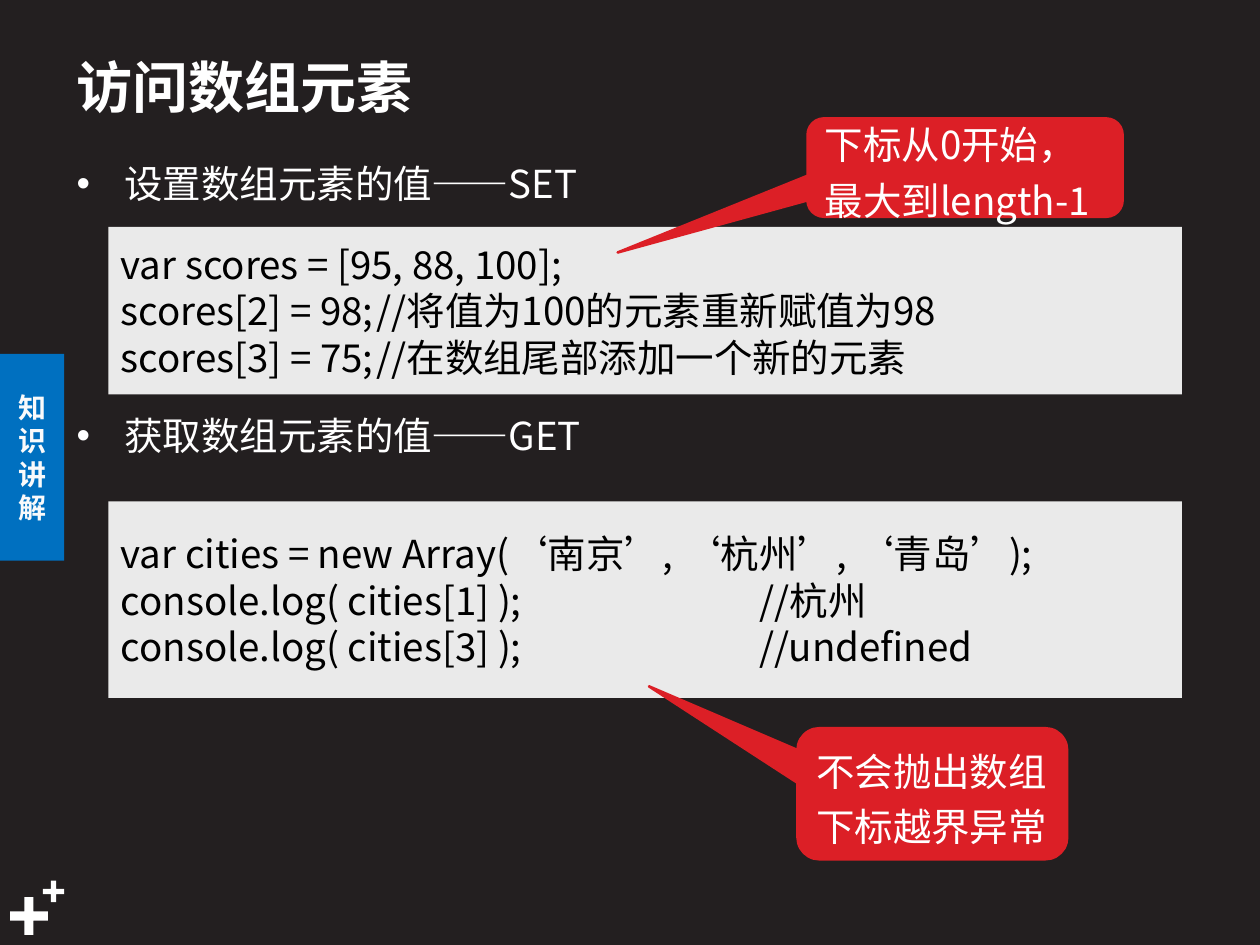
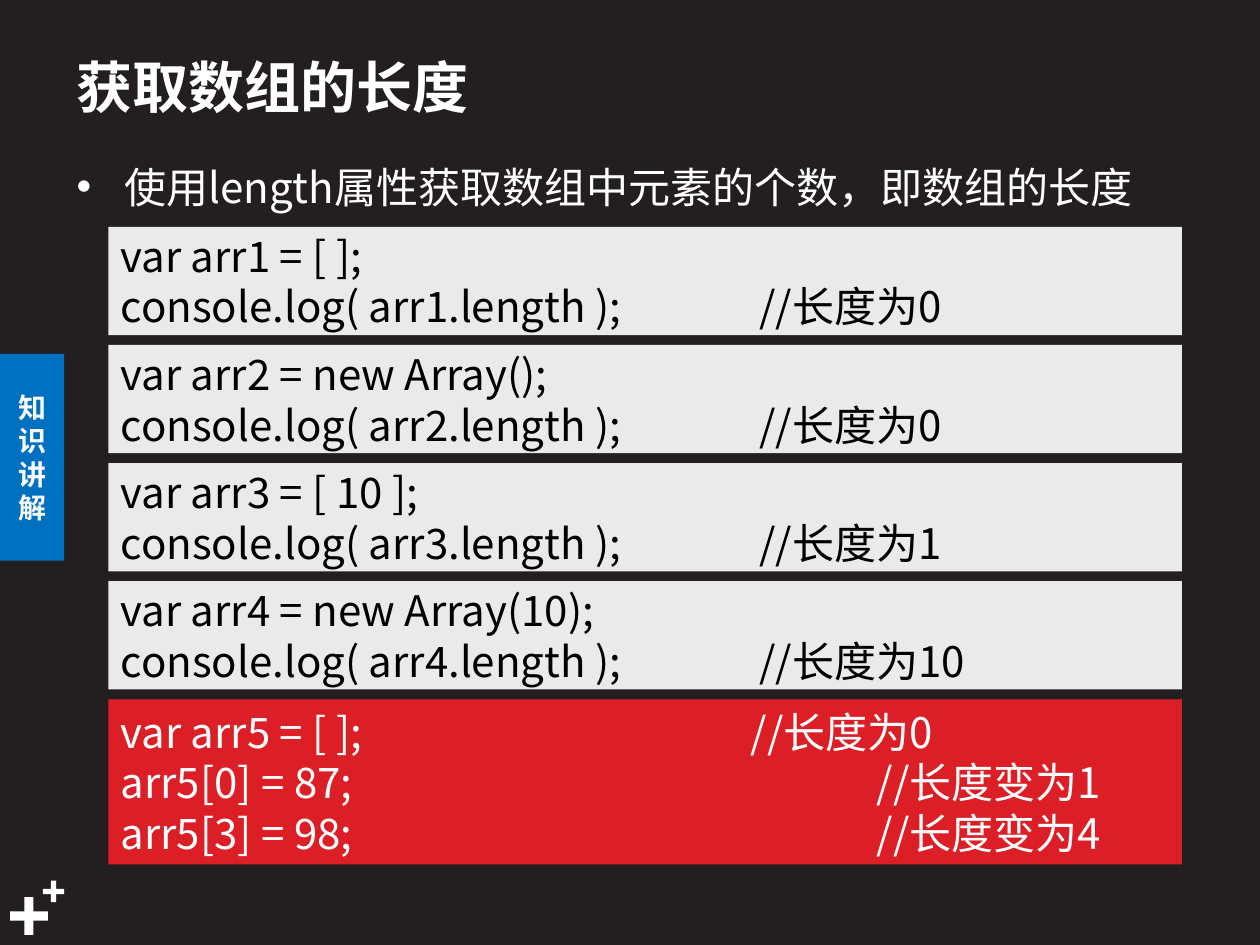
"""Build two slides on reading, writing and measuring arrays."""
import pptx
import pptx.dml.color
import pptx.enum.lang
import pptx.enum.shapes
import pptx.enum.text
import pptx.oxml.ns
import pptx.util
from lxml import etree

Inches = pptx.util.Inches
Pt = pptx.util.Pt
RGBColor = pptx.dml.color.RGBColor
Shape = pptx.enum.shapes.MSO_SHAPE
Anchor = pptx.enum.text.MSO_ANCHOR
Align = pptx.enum.text.PP_ALIGN
qn = pptx.oxml.ns.qn

DARK = RGBColor(0x23, 0x1F, 0x20)
WHITE = RGBColor(0xFF, 0xFF, 0xFF)
BLACK = RGBColor(0x00, 0x00, 0x00)
BLUE = RGBColor(0x00, 0x70, 0xC0)
PALE = RGBColor(0xF9, 0xFA, 0xFB)
GREY = RGBColor(0xEA, 0xEA, 0xEA)
RED = RGBColor(0xDC, 0x1F, 0x26)

FONT = "Noto Sans CJK SC"
LEFT = 0.51
PANEL_LEFT, PANEL_TOP, PANEL_WIDTH = 0.86, 1.8, 8.52
COMMENT_STOP = 5.07


def apply(target, formats):
    """Set every attribute of the target that the formats name."""
    for name, value in formats.items():
        setattr(target, name, value)


def add_span(para, text, size, color, bold=False):
    """Append a run in the deck's font."""
    span = para.add_run()
    span.text = text
    apply(span.font, {
        "name": FONT, "size": Pt(size), "bold": bold,
        "language_id": pptx.enum.lang.MSO_LANGUAGE_ID.SIMPLIFIED_CHINESE,
    })
    span.font.color.rgb = color
    east_asian = etree.SubElement(span.font._element, qn("a:ea"))
    east_asian.set("typeface", FONT)


def add_text_box(page, left, top, width, height, anchor=Anchor.TOP):
    """Add a wrapping text box and return its first paragraph."""
    frame = page.shapes.add_textbox(
        Inches(left), Inches(top), Inches(width), Inches(height)).text_frame
    apply(frame, {"word_wrap": True, "vertical_anchor": anchor})
    return frame.paragraphs[0]


def add_block(page, kind, area, fill, adjustments=()):
    """Add a flat filled shape whose text is left-aligned and centred in height."""
    block = page.shapes.add_shape(kind, *(Inches(length) for length in area))
    block.shadow.inherit = False
    block.fill.solid()
    block.fill.fore_color.rgb = fill
    block.line.fill.background()
    for index, value in enumerate(adjustments):
        block.adjustments[index] = value
    apply(block.text_frame, {"word_wrap": True, "vertical_anchor": Anchor.MIDDLE})
    block.text_frame.paragraphs[0].alignment = Align.LEFT
    return block


def add_page(deck, title):
    """Add a dark page with plus marks, section tab and title."""
    page = deck.slides.add_slide(deck.slide_layouts[6])
    page.background.fill.solid()
    page.background.fill.fore_color.rgb = DARK
    for left, top, size in ((0.08, 7.12, 0.3), (0.34, 6.99, 0.17)):
        add_block(page, Shape.CROSS, (left, top, size, size), WHITE, [0.378])
    tab = add_block(page, Shape.RECTANGLE, (0, 2.81, LEFT, 1.64), BLUE)
    para = tab.text_frame.paragraphs[0]
    para.alignment = Align.CENTER
    add_span(para, "知识讲解", 16, PALE, bold=True)
    para = add_text_box(page, LEFT, 0.29, 7.4, 0.78, Anchor.MIDDLE)
    add_span(para, title, 32, WHITE, bold=True)
    return page


def add_bullet(page, top, text, size):
    """Add one bulleted line with a hanging indent."""
    para = add_text_box(page, LEFT, top, 8.82, 0.59)
    apply(para, {"line_spacing": 1.2, "space_before": Pt(size * 0.2)})
    properties = para._p.get_or_add_pPr()
    properties.set("marL", str(Inches(0.38)))
    properties.set("indent", str(Inches(-0.38)))
    etree.SubElement(properties, qn("a:buFont")).set("typeface", "Arial")
    etree.SubElement(properties, qn("a:buChar")).set("char", "•")
    add_span(para, text, size, WHITE)


def add_code(page, top, height, lines, size, fill=GREY, color=BLACK):
    """Add a code panel; a line is its code, then a comment and its tab stop."""
    area = (PANEL_LEFT, top, PANEL_WIDTH, height)
    frame = add_block(page, Shape.RECTANGLE, area, fill).text_frame
    for index, (code, *comment) in enumerate(lines):
        para = frame.add_paragraph() if index else frame.paragraphs[0]
        para.alignment = Align.LEFT
        if comment:
            note, stop = comment
            code = f"{code}\t{note}"
            stops = etree.SubElement(para._p.get_or_add_pPr(), qn("a:tabLst"))
            etree.SubElement(stops, qn("a:tab"), pos=str(Inches(stop)), algn="l")
        add_span(para, code, size, color)


def add_callout(page, area, pointer, text):
    """Add a red rounded callout with its pointer at the given offset."""
    callout = add_block(page, Shape.ROUNDED_RECTANGULAR_CALLOUT, area, RED,
                        [*pointer, 0.167])
    callout.line.color.rgb = RED
    callout.line.width = Pt(1.5)
    para = callout.text_frame.paragraphs[0]
    apply(para, {"line_spacing": 1.2, "space_before": Pt(4.4)})
    add_span(para, text, 22, WHITE)


def build_access_page(deck):
    """Show how array elements are set and read."""
    page = add_page(deck, "访问数组元素")
    add_bullet(page, 1.15, "设置数组元素的值——SET", 22)
    add_bullet(page, 3.15, "获取数组元素的值——GET", 22)
    add_code(page, PANEL_TOP, 1.33, [
        ("var scores = [95, 88, 100];",),
        ("scores[2] = 98;", "//将值为100的元素重新赋值为98", 2.03),
        ("scores[3] = 75;", "//在数组尾部添加一个新的元素", 2.03),
    ], 22)
    add_code(page, 3.98, 1.56, [
        ("var cities = new Array(‘南京’, ‘杭州’, ‘青岛’);",),
        ("console.log( cities[1] );", "//杭州", COMMENT_STOP),
        ("console.log( cities[3] );", "//undefined", COMMENT_STOP),
    ], 22)
    add_callout(page, (6.41, 0.94, 2.5, 0.78), (-1.103, 0.864),
                "下标从0开始，最大到length-1")
    add_callout(page, (6.33, 5.78, 2.14, 1.04), (-1.051, -0.82),
                "不会抛出数组下标越界异常")


def build_length_page(deck):
    """Show the length of arrays made in different ways."""
    page = add_page(deck, "获取数组的长度")
    add_bullet(page, 1.15, "使用length属性获取数组中元素的个数，即数组的长度", 24)
    arrays = [("[ ]", 0), ("new Array()", 0), ("[ 10 ]", 1), ("new Array(10)", 10)]
    growing_top = 5.55
    pitch = (growing_top - PANEL_TOP) / len(arrays)
    for index, (value, length) in enumerate(arrays):
        name = f"arr{index + 1}"
        add_code(page, PANEL_TOP + index * pitch, 0.86, [
            (f"var {name} = {value};",),
            (f"console.log( {name}.length );", f"//长度为{length}", COMMENT_STOP),
        ], 24)
    add_code(page, growing_top, 1.31, [
        ("var arr5 = [ ];", "//长度为0", 5),
        ("arr5[0] = 87;", "//长度变为1", 6),
        ("arr5[3] = 98;", "//长度变为4", 6),
    ], 24, RED, WHITE)


def main():
    """Build and save the deck."""
    deck = pptx.Presentation()
    apply(deck, {"slide_width": Inches(10), "slide_height": Inches(7.5)})
    build_access_page(deck)
    build_length_page(deck)
    deck.save("out.pptx")


if __name__ == "__main__":
    main()
